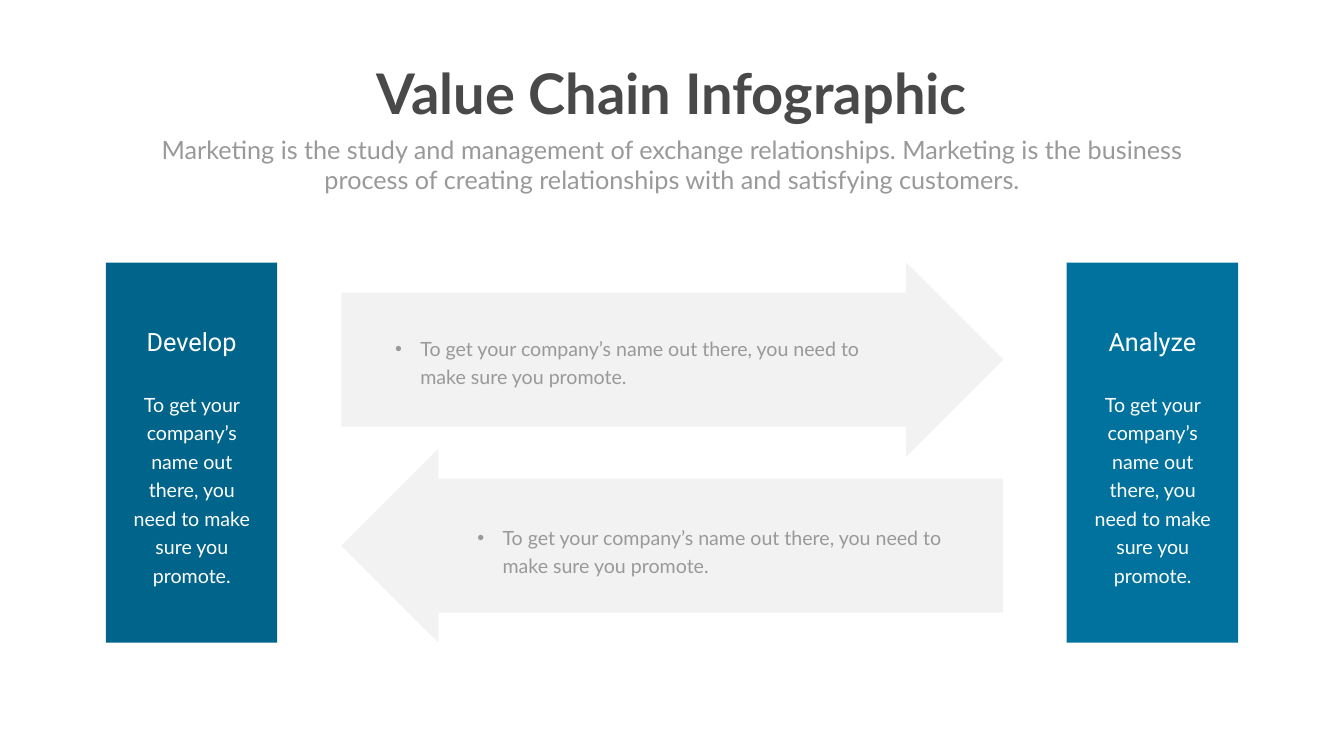
import pptx
import pptx.dml.color
import pptx.enum.shapes
import pptx.enum.text
import pptx.oxml.ns
import pptx.util
import lxml.etree

theme = {
    "navy": "00648B", "blue": "00729D", "gray": "808080",
    "dark": "494949", "soft": "999999", "white": "FFFFFF",
    "title": 80, "head": 36, "body": 28, "line": 40.8,
    "sans": "Lato", "label": "Roboto",
}
px = 9144
copy = "To get your company’s name out there, you need to make sure you promote."

deck = pptx.Presentation()
deck.slide_width = 2666 * px
deck.slide_height = 1500 * px
slide = deck.slides.add_slide(deck.slide_layouts[6])


def block(kind, box, color, alpha=None):
    shape = slide.shapes.add_shape(kind, *[n * px for n in box])
    shape.shadow.inherit = False
    shape.fill.solid()
    shape.fill.fore_color.rgb = pptx.dml.color.RGBColor.from_string(color)
    shape.line.fill.background()
    if alpha:
        tone = shape.fill._xPr.find(".//" + pptx.oxml.ns.qn("a:srgbClr"))
        lxml.etree.SubElement(tone, pptx.oxml.ns.qn("a:alpha"), val=str(alpha * 1000))
    return shape


def write(text, box, size, color, face=theme["sans"], bold=False,
          line=None, bullet=False, wrap=True, inset=5):
    frame = slide.shapes.add_textbox(*[n * px for n in box]).text_frame
    frame.word_wrap = wrap
    frame.margin_left = frame.margin_right = 10 * px
    frame.margin_top = frame.margin_bottom = inset * px
    para = frame.paragraphs[0]
    run = para.add_run()
    run.text = text
    para.alignment = pptx.enum.text.PP_ALIGN.CENTER
    if line:
        para.line_spacing = pptx.util.Pt(line)
    if bullet:
        para.alignment = pptx.enum.text.PP_ALIGN.LEFT
        props = para._p.get_or_add_pPr()
        props.set("marL", str(50 * px))
        props.set("indent", str(-50 * px))
        lxml.etree.SubElement(props, pptx.oxml.ns.qn("a:buFont"), typeface="Arial")
        lxml.etree.SubElement(props, pptx.oxml.ns.qn("a:buChar"), char="•")
    run.font.size = pptx.util.Pt(size)
    run.font.name = face
    run.font.bold = bold
    run.font.color.rgb = pptx.dml.color.RGBColor.from_string(color)


write("Value Chain Infographic", (721, 112, 1224, 145), theme["title"],
      theme["dark"], bold=True, wrap=False)
write("Marketing is the study and management of exchange relationships. "
      "Marketing is the business process of creating relationships with "
      "and satisfying customers.",
      (292, 261, 2082, 131), theme["head"], theme["soft"])

for top, turn, left, line_top in ((521, 0, 774, 655), (890, 180, 937, 1030)):
    arrow = block(pptx.enum.shapes.MSO_SHAPE.RIGHT_ARROW,
                  (677, top, 1313, 385), theme["gray"], alpha=10)
    arrow.adjustments[0] = 0.69
    arrow.adjustments[1] = 0.5
    arrow.rotation = turn
    write(copy, (left, line_top, 955, 119), theme["body"], theme["soft"],
          line=theme["line"], bullet=True, inset=3)

for name, left, color in (("Develop", 210, theme["navy"]),
                          ("Analyze", 2116, theme["blue"])):
    block(pptx.enum.shapes.MSO_SHAPE.RECTANGLE, (left, 521, 340, 754), color)
    write(name, (left + 24, 643, 292, 71), theme["head"], theme["white"],
          face=theme["label"])
    write(copy, (left + 41, 764, 259, 407), theme["body"], theme["white"],
          line=theme["line"])

deck.save("out.pptx")
